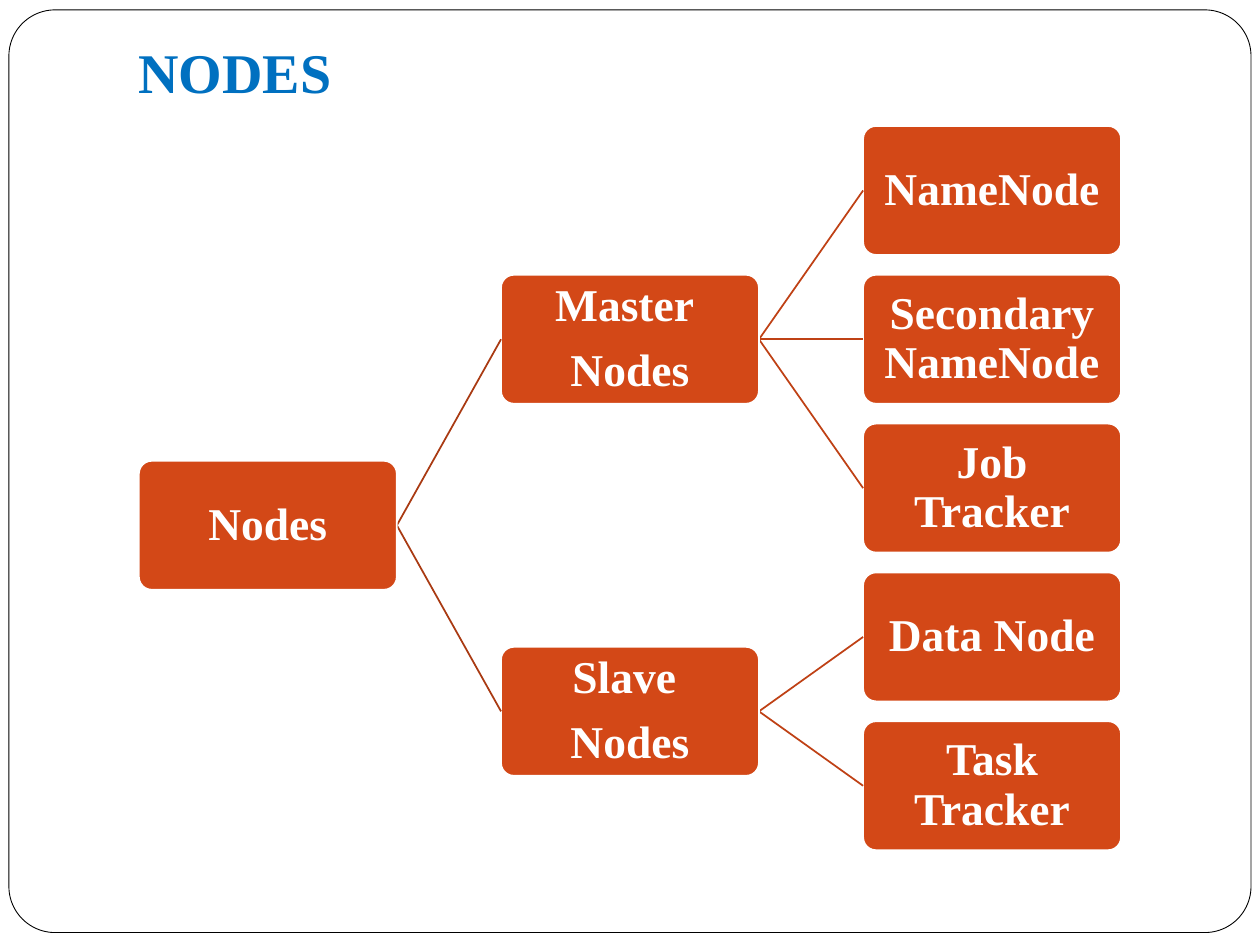
"""Build the NODES slide: a tree of node types, drawn left to right."""
from lxml.etree import SubElement as Sub
from pptx import Presentation
from pptx.dml.color import RGBColor
from pptx.enum.shapes import MSO_CONNECTOR as Conn, MSO_SHAPE as Form
from pptx.enum.text import MSO_ANCHOR as Anchor, MSO_AUTO_SIZE as Fit, PP_ALIGN as Align
from pptx.oxml.ns import qn
from pptx.util import Cm, Pt

TITLE = "NODES"
TREE = (["Nodes"], [
    (["Master ", "Nodes"], [
        (["NameNode"], []),
        (["Secondary NameNode"], []),
        (["Job Tracker"], []),
    ]),
    (["Slave ", "Nodes"], [
        (["Data Node"], []),
        (["Task Tracker"], []),
    ]),
])
LINKS = ["A93A12", "BF4115"]
FONT = "Times New Roman"
LEFT, TOP = 2.8, 2.54
WIDE, HIGH = 5.2, 2.6
STEP, PITCH = 7.3, 3.0


def tint(code):
    return RGBColor.from_string(code)


def write(para, text, size, code):
    run = para.add_run()
    run.text = text
    run.font.name = FONT
    run.font.size = Pt(size)
    run.font.bold = True
    run.font.color.rgb = tint(code)


def panel(slide, x, y, w, h, curve, fill, edge, width):
    shape = slide.shapes.add_shape(Form.ROUNDED_RECTANGLE, Cm(x), Cm(y), Cm(w), Cm(h))
    shape.adjustments[0] = curve
    shape.shadow.inherit = False
    shape.fill.solid()
    shape.fill.fore_color.rgb = tint(fill)
    shape.line.color.rgb = tint(edge)
    shape.line.width = Pt(width)
    return shape


def title(slide):
    box = slide.shapes.add_textbox(Cm(2.54), Cm(0.64), Cm(10.16), Cm(1.62))
    frame = box.text_frame
    frame.word_wrap = True
    frame.auto_size = Fit.SHAPE_TO_FIT_TEXT
    write(frame.paragraphs[0], TITLE, 32, "0070C0")


def node(slide, lines, x, mid):
    shape = panel(slide, x, mid - HIGH / 2, WIDE, HIGH, 0.1, "D34817", "FFFFFF", 1)
    frame = shape.text_frame
    frame.word_wrap = True
    frame.vertical_anchor = Anchor.MIDDLE
    frame.margin_left = frame.margin_right = Cm(0.13)
    frame.margin_top = frame.margin_bottom = Cm(0.13)
    for i, text in enumerate(lines):
        para = frame.add_paragraph() if i else frame.paragraphs[0]
        para.alignment = Align.CENTER
        para.line_spacing = 0.9
        para.space_after = Pt(9)
        write(para, text, 26, "FFFFFF")


def link(slide, x, start, end, code):
    line = slide.shapes.add_connector(
        Conn.STRAIGHT, Cm(x + WIDE), Cm(start), Cm(x + STEP), Cm(end))
    line.line.color.rgb = tint(code)
    line.line.width = Pt(1)
    Sub(line.element.spPr, qn("a:effectLst"))


def grow(slide, tree, rows, depth=0):
    lines, kids = tree
    x = LEFT + depth * STEP
    mids = [grow(slide, kid, rows, depth + 1) for kid in kids]
    if mids:
        mid = sum(mids) / len(mids)
    else:
        mid = next(rows)
    for end in mids:
        link(slide, x, mid, end, LINKS[depth])
    node(slide, lines, x, mid)
    return mid


def main():
    deck = Presentation()
    deck.slide_width, deck.slide_height = Cm(25.4), Cm(19.05)
    slide = deck.slides.add_slide(deck.slide_layouts[6])
    panel(slide, 0.18, 0.2, 25.04, 18.6, 0.05, "FFFFFF", "000000", 0.5)
    title(slide)
    rows = (TOP + HIGH / 2 + PITCH * i for i in range(5))
    grow(slide, TREE, rows)
    deck.save("out.pptx")


if __name__ == "__main__":
    main()
